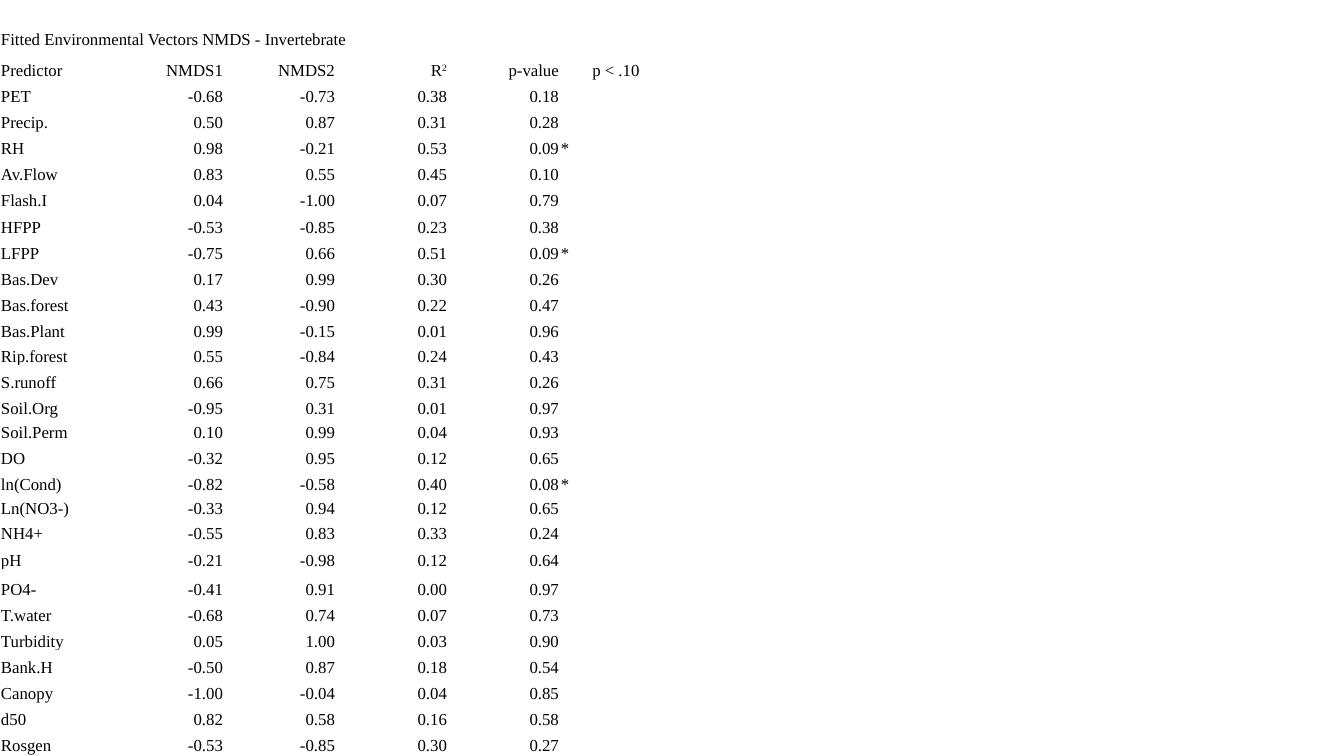
from lxml.etree import SubElement
from pptx import Presentation
from pptx.dml.color import RGBColor
from pptx.enum.text import MSO_ANCHOR, PP_ALIGN
from pptx.oxml.ns import qn
from pptx.util import Inches, Pt

SLIDE_WIDTH, SLIDE_HEIGHT = 13.33, 7.5
TITLE = "Fitted Environmental Vectors NMDS - Invertebrate"
HEADINGS = ["Predictor", "NMDS1", "NMDS2", "R^2", "p-value", "p < .10"]
VECTORS = """
PET -0.68 -0.73 0.38 0.18
Precip. 0.50 0.87 0.31 0.28
RH 0.98 -0.21 0.53 0.09 *
Av.Flow 0.83 0.55 0.45 0.10
Flash.I 0.04 -1.00 0.07 0.79
HFPP -0.53 -0.85 0.23 0.38
LFPP -0.75 0.66 0.51 0.09 *
Bas.Dev 0.17 0.99 0.30 0.26
Bas.forest 0.43 -0.90 0.22 0.47
Bas.Plant 0.99 -0.15 0.01 0.96
Rip.forest 0.55 -0.84 0.24 0.43
S.runoff 0.66 0.75 0.31 0.26
Soil.Org -0.95 0.31 0.01 0.97
Soil.Perm 0.10 0.99 0.04 0.93
DO -0.32 0.95 0.12 0.65
ln(Cond) -0.82 -0.58 0.40 0.08 *
Ln(NO3-) -0.33 0.94 0.12 0.65
NH4+ -0.55 0.83 0.33 0.24
pH -0.21 -0.98 0.12 0.64
PO4- -0.41 0.91 0.00 0.97
T.water -0.68 0.74 0.07 0.73
Turbidity 0.05 1.00 0.03 0.90
Bank.H -0.50 0.87 0.18 0.54
Canopy -1.00 -0.04 0.04 0.85
d50 0.82 0.58 0.16 0.58
Rosgen -0.53 -0.85 0.30 0.27
"""
# Row heights that differ from the usual one, by row number
USUAL_HEIGHT = 0.26
SPECIAL_HEIGHTS = {0: 0.49, 1: 0.31, 12: 0.25, 15: 0.24, 18: 0.24, 19: 0.25, 21: 0.29}


def color(hex_string):
    return RGBColor.from_string(hex_string)


class TableSlide:
    font_name = "Times New Roman"
    font_size = Pt(12)
    font_color = "000000"
    inset = Inches(0.01)

    def __init__(self, presentation):
        self.width = presentation.slide_width
        self.height = presentation.slide_height
        self.slide = presentation.slides.add_slide(presentation.slide_layouts[6])

    def add_table(self, rows, heights, width_share, height_share):
        """Add a plain table at the top left, sized as shares of the slide."""
        width, height = int(self.width * width_share), int(self.height * height_share)
        columns = len(rows[0])
        table = self.slide.shapes.add_table(len(rows), columns, 0, 0, width, height).table
        table.first_row = table.horz_banding = False
        for column in table.columns:
            column.width = width // columns
        for row, row_height in zip(table.rows, heights):
            row.height = int(height * row_height / sum(heights))
        for row_index, texts in enumerate(rows):
            for column_index, text in enumerate(texts):
                numeric = row_index > 0 and 0 < column_index < columns - 1
                self.fill_cell(table.cell(row_index, column_index), text,
                               PP_ALIGN.RIGHT if numeric else PP_ALIGN.LEFT)
        return table

    def fill_cell(self, cell, text, alignment):
        """Write one cell; a caret marks the start of a superscript."""
        cell.fill.background()
        cell.vertical_anchor = MSO_ANCHOR.BOTTOM
        cell.margin_left = cell.margin_right = cell.margin_top = self.inset
        cell.margin_bottom = 0
        paragraph = cell.text_frame.paragraphs[0]
        paragraph.alignment = alignment
        paragraph.font.name = self.font_name
        paragraph.font.size = self.font_size
        paragraph.font.color.rgb = color(self.font_color)
        base, _, superscript = text.partition("^")
        if base:
            paragraph.add_run().text = base
        else:
            # An empty cell keeps the text size, so its row does not grow
            end = SubElement(paragraph._p, qn("a:endParaRPr"))
            end.set("sz", str(int(self.font_size.pt * 100)))
        if superscript:
            run = paragraph.add_run()
            run.text = superscript
            run.font._element.set("baseline", "30000")


def main():
    presentation = Presentation()
    presentation.slide_width = Inches(SLIDE_WIDTH)
    presentation.slide_height = Inches(SLIDE_HEIGHT)
    slide = TableSlide(presentation)

    # Title row, heading row, then one row per predictor
    columns = len(HEADINGS)
    vectors = [line.split() for line in VECTORS.strip().splitlines()]
    rows = [row + [""] * (columns - len(row)) for row in [[TITLE], HEADINGS, *vectors]]
    heights = [SPECIAL_HEIGHTS.get(index, USUAL_HEIGHT) for index in range(len(rows))]
    table = slide.add_table(rows, heights, width_share=0.5, height_share=1)

    # The title spans all but the last column, whose heading is centred
    table.cell(0, 0).merge(table.cell(0, columns - 2))
    table.cell(1, columns - 1).text_frame.paragraphs[0].alignment = PP_ALIGN.CENTER

    presentation.save("out.pptx")


if __name__ == "__main__":
    main()
